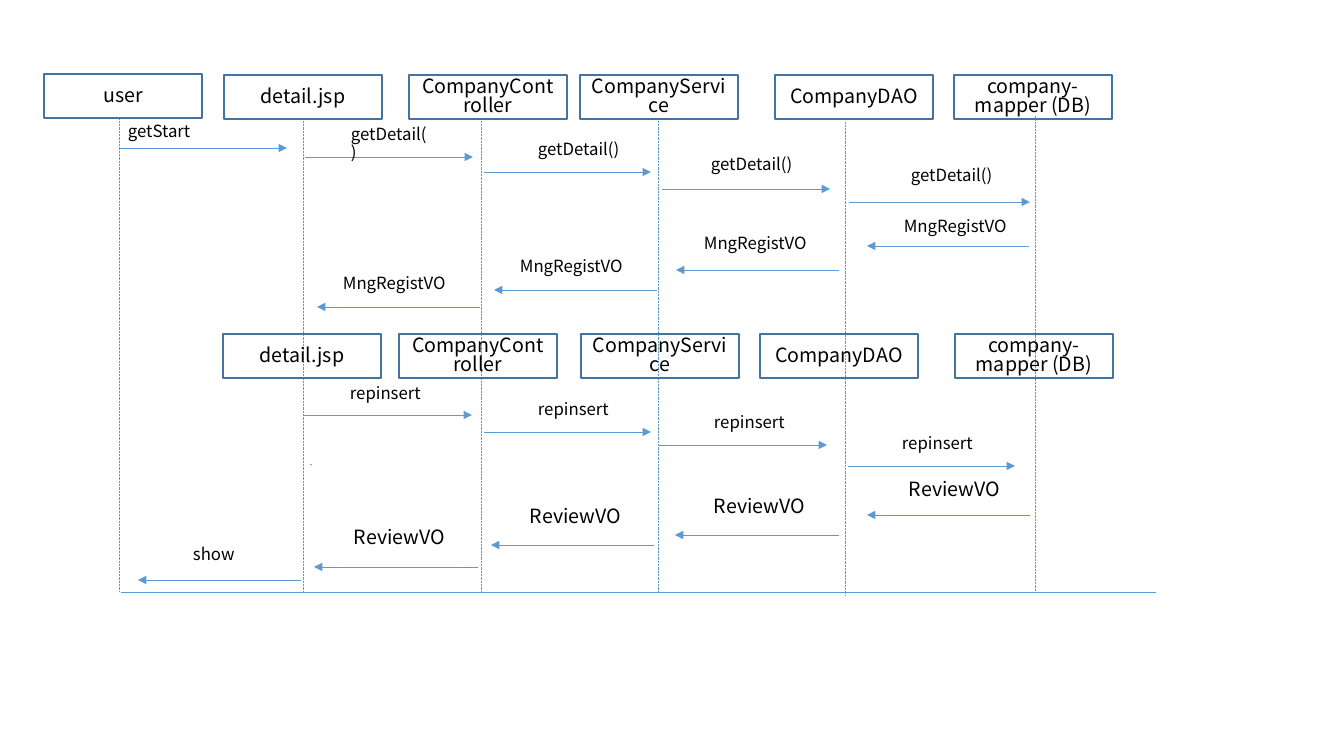
from dataclasses import dataclass

from lxml import etree
from pptx import Presentation
from pptx.dml.color import RGBColor
from pptx.enum.dml import MSO_LINE
from pptx.enum.shapes import MSO_CONNECTOR, MSO_SHAPE
from pptx.enum.text import MSO_ANCHOR, MSO_AUTO_SIZE, PP_ALIGN
from pptx.oxml.ns import qn
from pptx.util import Pt

RECT = MSO_SHAPE.RECTANGLE
STRAIGHT = MSO_CONNECTOR.STRAIGHT
DOTTED = MSO_LINE.ROUND_DOT
LEFT, CENTER = PP_ALIGN.LEFT, PP_ALIGN.CENTER
MIDDLE = MSO_ANCHOR.MIDDLE
GROW = MSO_AUTO_SIZE.SHAPE_TO_FIT_TEXT
PX = 914400 / 100.8


@dataclass(frozen=True)
class Theme:
    """Colours, font and type sizes of the diagram."""
    font: str = "Noto Sans CJK KR"
    ink: RGBColor = RGBColor(0, 0, 0)
    border: RGBColor = RGBColor(0x43, 0x73, 0x9E)
    flow: RGBColor = RGBColor(0x5B, 0x9B, 0xD5)
    large: int = 14
    small: int = 12
    border_width: float = 1
    flow_width: float = 0.5


@dataclass(frozen=True)
class Participant:
    """A named box at the head of a lifeline."""
    name: str
    x: int
    y: int
    spacing: float = 0.9


@dataclass(frozen=True)
class Message:
    """A horizontal arrow and the place of its label."""
    text: str
    start: int
    end: int
    y: int
    label_x: int
    label_y: int
    label_w: int


@dataclass(frozen=True)
class Lifeline:
    """A vertical dotted line."""
    x: int
    top: int = 118
    bottom: int = 592


THEME = Theme()
BOX_W, BOX_H = 158, 44
TIGHT = 0.8

LIFELINES = [
    Lifeline(119), Lifeline(303), Lifeline(481), Lifeline(658),
    Lifeline(845, 122, 596), Lifeline(1035, 116, 591),
]

PARTICIPANTS = [
    Participant("user", 44, 74),
    Participant("detail.jsp", 224, 75),
    Participant("CompanyController", 409, 75, TIGHT),
    Participant("CompanyService", 580, 75, TIGHT),
    Participant("CompanyDAO", 775, 75),
    Participant("company-mapper (DB)", 954, 75, TIGHT),
    Participant("detail.jsp", 223, 334),
    Participant("CompanyController", 399, 334, TIGHT),
    Participant("CompanyService", 581, 334, TIGHT),
    Participant("CompanyDAO", 760, 334),
    Participant("company-mapper (DB)", 955, 334, TIGHT),
]

CALLS = [
    Message("getStart", 120, 287, 148, 118, 118, 84),
    Message("getDetail()", 305, 473, 157, 341, 121, 99),
    Message("getDetail()", 484, 651, 172, 528, 136, 103),
    Message("getDetail()", 662, 830, 189, 701, 151, 103),
    Message("getDetail()", 849, 1030, 202, 901, 162, 103),
    Message("MngRegistVO", 1029, 867, 246, 894, 213, 129),
    Message("MngRegistVO", 839, 676, 270, 694, 230, 126),
    Message("MngRegistVO", 657, 494, 290, 510, 253, 129),
    Message("MngRegistVO", 480, 317, 307, 333, 270, 133),
    Message("repinsert", 304, 472, 415, 340, 380, 99),
    Message("repinsert", 484, 651, 432, 528, 396, 103),
    Message("repinsert", 659, 827, 445, 704, 409, 103),
    Message("repinsert", 848, 1015, 466, 892, 430, 103),
    Message("show", 301, 138, 580, 183, 541, 64),
]

REVIEWS = [
    Message("ReviewVO", 1030, 867, 515, 886, 475, 137),
    Message("ReviewVO", 839, 675, 535, 691, 492, 137),
    Message("ReviewVO", 654, 491, 545, 507, 502, 137),
    Message("ReviewVO", 478, 314, 567, 331, 523, 137),
]


def px(n: int) -> int:
    """Turn whole pixels into EMU."""
    return round(n * PX)


def write(tf, text: str, *, size: int, align=LEFT, spacing: float = 0.9) -> None:
    """Put one formatted paragraph into a text frame."""
    tf.word_wrap = True
    p = tf.paragraphs[0]
    p.alignment = align
    p.line_spacing = spacing
    r = p.add_run()
    r.text = text
    r.font.size = Pt(size)
    r.font.name = THEME.font
    r.font.color.rgb = THEME.ink
    east_asian = etree.SubElement(r.font._element, qn("a:ea"))
    east_asian.set("typeface", THEME.font)


def add_line(s, x1: int, y1: int, x2: int, y2: int, *, dash=None, arrow: bool = False) -> None:
    """Draw a thin line, dotted or with an arrowhead on request."""
    line = s.shapes.add_connector(STRAIGHT, px(x1), px(y1), px(x2), px(y2))
    line.line.color.rgb = THEME.flow
    line.line.width = Pt(THEME.flow_width)
    if dash is not None:
        line.line.dash_style = dash
    if arrow:
        etree.SubElement(line.line._get_or_add_ln(), qn("a:tailEnd")).set("type", "triangle")
    etree.SubElement(line._element.spPr, qn("a:effectLst"))


def add_participant(s, who: Participant) -> None:
    """Draw an unfilled box with a centred name."""
    sp = s.shapes.add_shape(RECT, px(who.x), px(who.y), px(BOX_W), px(BOX_H))
    sp.shadow.inherit = False
    sp.fill.background()
    sp.line.color.rgb = THEME.border
    sp.line.width = Pt(THEME.border_width)
    sp.text_frame.vertical_anchor = MIDDLE
    write(sp.text_frame, who.name, size=THEME.large, align=CENTER, spacing=who.spacing)


def add_message(s, m: Message, *, size: int, align=LEFT) -> None:
    """Draw a message arrow and its label."""
    add_line(s, m.start, m.y, m.end, m.y, arrow=True)
    sp = s.shapes.add_textbox(px(m.label_x), px(m.label_y), px(m.label_w), px(30))
    write(sp.text_frame, m.text, size=size, align=align)
    sp.text_frame.auto_size = GROW


def main() -> None:
    """Build the sequence diagram and save it."""
    prs = Presentation()
    prs.slide_width, prs.slide_height = px(1344), px(756)
    s = prs.slides.add_slide(prs.slide_layouts[6])
    for life in LIFELINES:
        add_line(s, life.x, life.top, life.x, life.bottom, dash=DOTTED)
    add_line(s, 121, 592, 1156, 592)
    add_line(s, 310, 464, 312, 465)
    for who in PARTICIPANTS:
        add_participant(s, who)
    for m in CALLS:
        add_message(s, m, size=THEME.small)
    for m in REVIEWS:
        add_message(s, m, size=THEME.large, align=CENTER)
    prs.save("out.pptx")


main()
